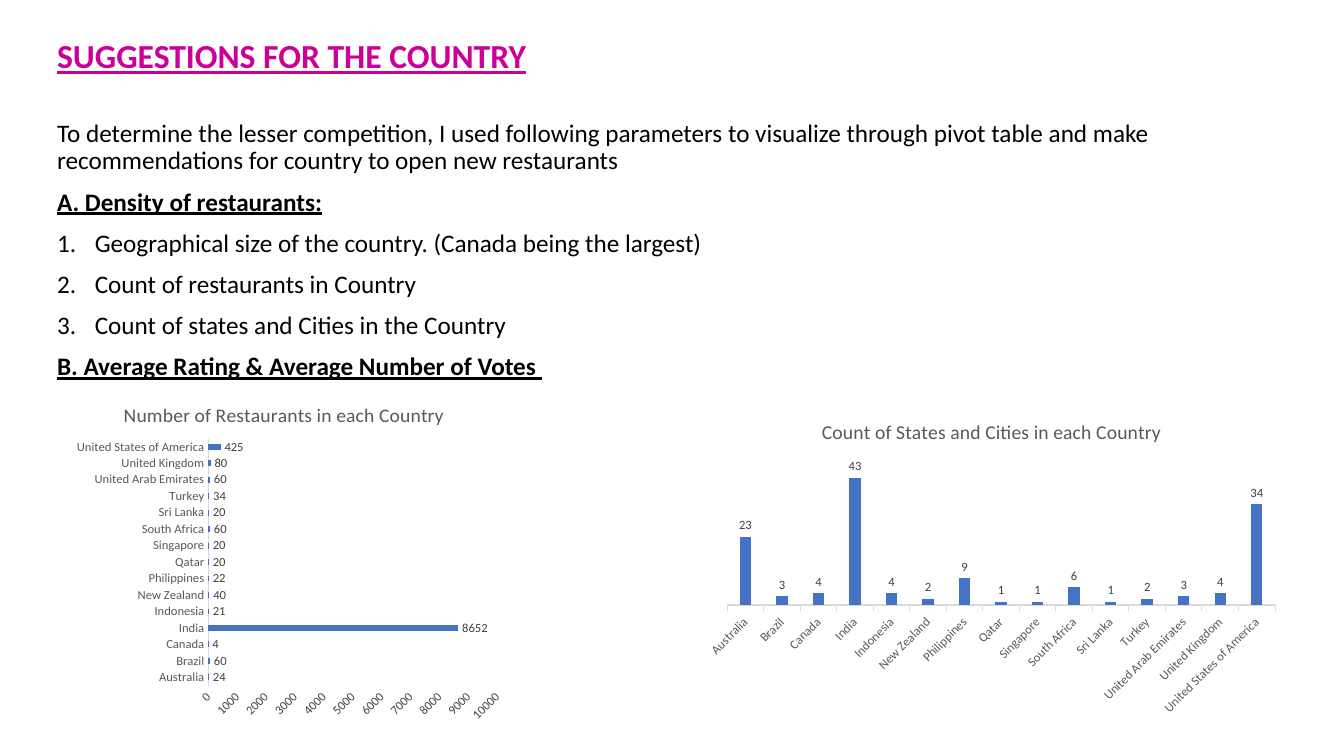
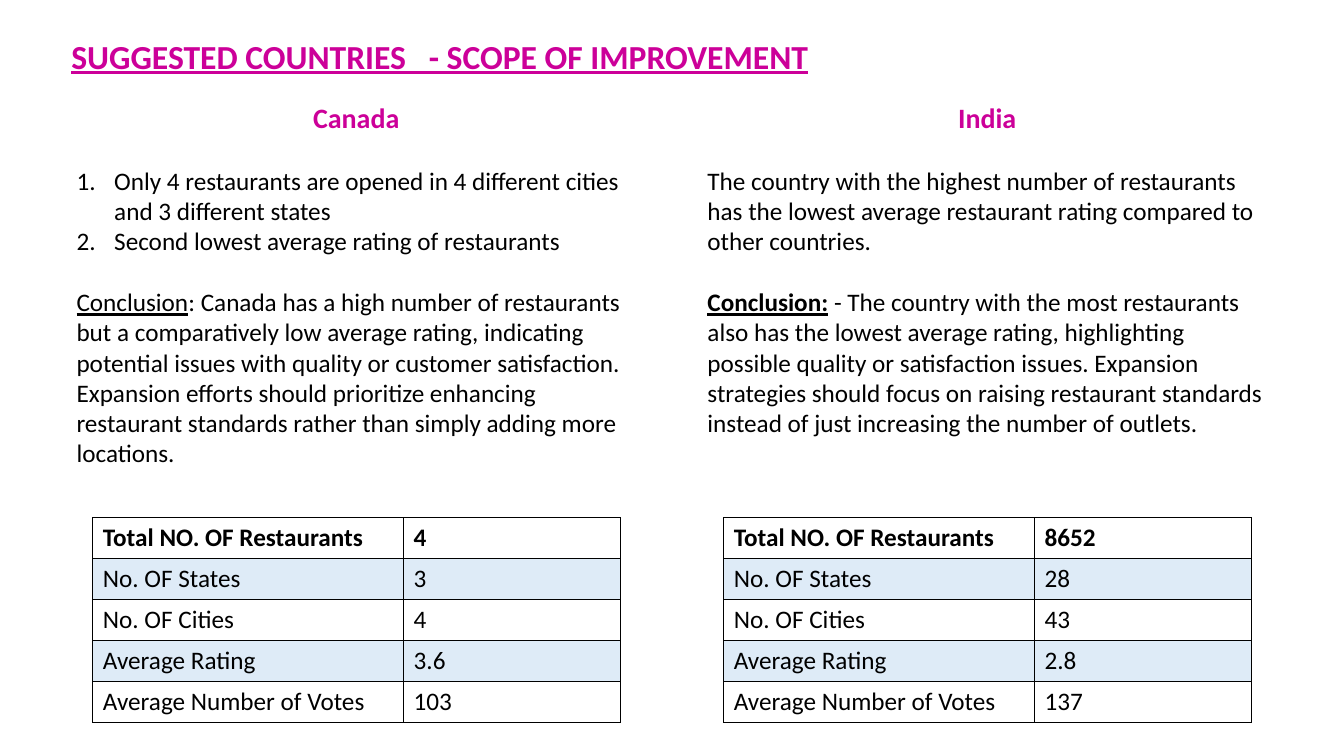
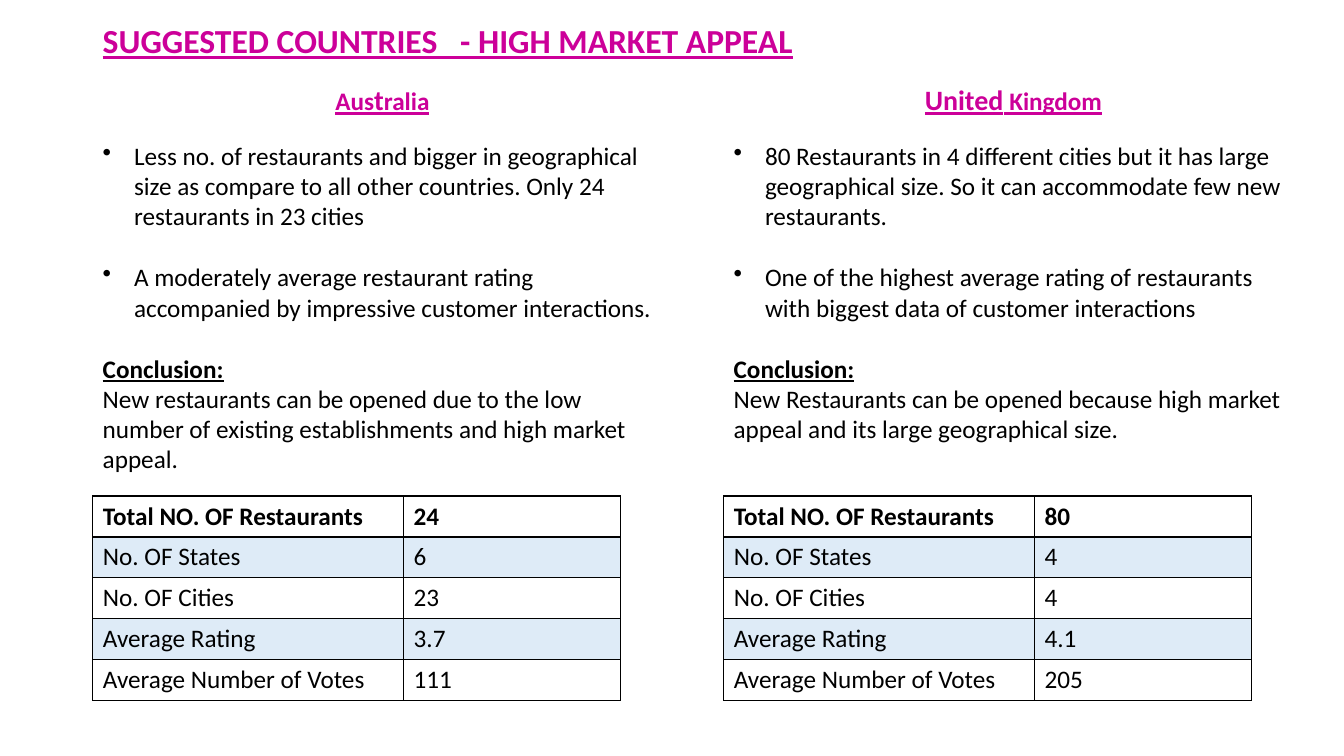
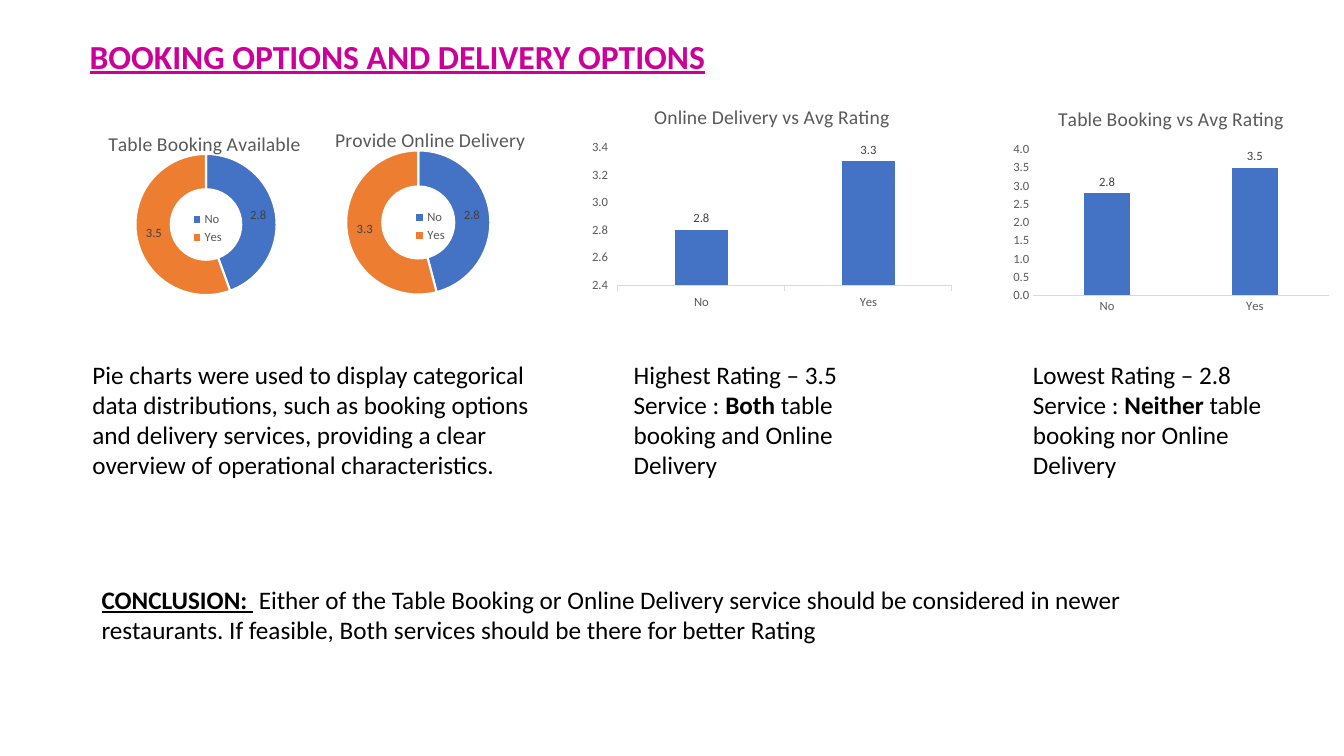
"""Build four slides of restaurant expansion suggestions by country."""
from dataclasses import dataclass
from typing import Any, Optional

from lxml import etree
from pptx import Presentation
from pptx import util as u
from pptx.chart.data import CategoryChartData
from pptx.dml.color import RGBColor
from pptx.enum import chart as charts, text
from pptx.oxml.ns import qn

FONT = "Calibri"
PINK, BLACK, GREY, DARK = "CC0099", "000000", "595959", "404040"
BLUE, ORANGE, PALE, RULE, WHITE = "4472C4", "ED7D31", "DEEBF7", "D9D9D9", "FFFFFF"
CENTER = text.PP_ALIGN.CENTER
NUMBER, BULLET = "buAutoNum", "buChar"
MARKERS = {
    NUMBER: ("type", "arabicPeriod", 0.95),
    BULLET: ("char", "•", 0.79),
}
TABLE_LEFTS = (2.34, 18.24)
ROW_LABELS = ("Total NO. OF Restaurants", "No. OF States", "No. OF Cities",
              "Average Rating", "Average Number of Votes")
COUNTRIES = ("Australia", "Brazil", "Canada", "India", "Indonesia", "New Zealand",
             "Philippines", "Qatar", "Singapore", "South Africa", "Sri Lanka", "Turkey",
             "United Arab Emirates", "United Kingdom", "United States of America")
ANSWERS = ("No", "Yes")


@dataclass(frozen=True)
class Area:
    left: float
    top: float
    width: float
    height: float


@dataclass(frozen=True)
class Span:
    words: str
    bold: Optional[bool] = None
    underline: Optional[bool] = None
    size: Optional[float] = None


@dataclass(frozen=True)
class Para:
    spans: tuple[Span, ...]
    size: float = 18
    color: str = BLACK
    bold: bool = False
    underline: bool = False
    align: Optional[Any] = None
    before: float = 0
    spacing: Optional[float] = None
    marker: str = ""


@dataclass(frozen=True)
class ChartSpec:
    title: str
    area: Area
    categories: tuple[str, ...]
    values: tuple[float, ...]
    number_format: str = "General"
    plot: Optional[Area] = None


@dataclass(frozen=True)
class Bars:
    kind: Any
    low: float
    high: float
    step: float
    gap: int = 219
    overlap: int = -27
    ticks: bool = False
    show_values: bool = True
    slant_categories: bool = False
    slant_values: bool = False


def rgb(color: str) -> RGBColor:
    return RGBColor.from_string(color)


def box_of(area: Area) -> tuple[u.Cm, ...]:
    return tuple(u.Cm(n) for n in (area.left, area.top, area.width, area.height))


def line(words: str, **style: Any) -> Para:
    return Para((Span(words),), **style)


def style_font(font: Any, size: float, color: str) -> None:
    font.name = FONT
    font.size = u.Pt(size)
    font.color.rgb = rgb(color)


def write_para(paragraph: Any, para: Para) -> None:
    if para.marker:
        attribute, value, hang = MARKERS[para.marker]
        properties = paragraph._p.get_or_add_pPr()
        properties.set("marL", str(u.Cm(hang)))
        properties.set("indent", str(-u.Cm(hang)))
        etree.SubElement(properties, qn(f"a:{para.marker}")).set(attribute, value)
    paragraph.alignment = para.align
    paragraph.line_spacing = para.spacing
    paragraph.space_before = u.Pt(para.before)
    style_font(paragraph.font, para.size, para.color)
    paragraph.font.bold = para.bold
    paragraph.font.underline = para.underline
    for span in para.spans:
        run = paragraph.add_run()
        run.text = span.words
        if span.bold is not None:
            run.font.bold = span.bold
        if span.underline is not None:
            run.font.underline = span.underline
        if span.size is not None:
            run.font.size = u.Pt(span.size)


def add_text(page: Any, area: Area, *paras: Para) -> Any:
    frame = page.shapes.add_textbox(*box_of(area)).text_frame
    frame.word_wrap = True
    for index, para in enumerate(paras):
        write_para(frame.add_paragraph() if index else frame.paragraphs[0], para)
    return frame


def add_page(deck: Any, title: str, area: Area) -> Any:
    page = deck.slides.add_slide(deck.slide_layouts[6])
    frame = add_text(page, area, line(title, size=24, color=PINK, bold=True,
                                      underline=True, spacing=0.9))
    frame.vertical_anchor = text.MSO_ANCHOR.MIDDLE
    return page


def add_border(cell: Any) -> None:
    properties = cell._tc.get_or_add_tcPr()
    for index, side in enumerate(("lnL", "lnR", "lnT", "lnB")):
        edge = etree.Element(qn(f"a:{side}"), w=str(u.Pt(1)))
        fill = etree.SubElement(edge, qn("a:solidFill"))
        etree.SubElement(fill, qn("a:srgbClr"), val=BLACK)
        properties.insert(index, edge)


def add_facts(page: Any, left: float, top: float, values: tuple[str, ...]) -> None:
    widths, row_height = (7.83, 5.46), 1.03
    area = Area(left, top, sum(widths), row_height * len(values))
    table = page.shapes.add_table(len(values), 2, *box_of(area)).table
    table.first_row = table.horz_banding = False
    for column, width in zip(table.columns, widths):
        column.width = u.Cm(width)
    for index, entries in enumerate(zip(ROW_LABELS, values)):
        table.rows[index].height = u.Cm(row_height)
        for cell, words in zip(table.rows[index].cells, entries):
            if index % 2:
                cell.fill.solid()
                cell.fill.fore_color.rgb = rgb(PALE)
            else:
                cell.fill.background()
            add_border(cell)
            write_para(cell.text_frame.paragraphs[0], line(words, bold=index == 0))


def set_layout(parent: Any, index: int, area: Area, inner: bool = False) -> None:
    for stale in parent.findall(qn("c:layout")):
        parent.remove(stale)
    layout = etree.Element(qn("c:layout"))
    manual = etree.SubElement(layout, qn("c:manualLayout"))
    settings = [("layoutTarget", "inner")] if inner else []
    settings += [("xMode", "edge"), ("yMode", "edge"), ("x", area.left), ("y", area.top),
                 ("w", area.width), ("h", area.height)]
    for name, value in settings:
        etree.SubElement(manual, qn(f"c:{name}"), val=str(value))
    parent.insert(index, layout)


def add_chart(page: Any, spec: ChartSpec, kind: Any) -> Any:
    data = CategoryChartData(number_format=spec.number_format)
    data.categories = spec.categories
    data.add_series("Series 1", spec.values)
    chart = page.shapes.add_chart(kind, *box_of(spec.area), data).chart
    style_font(chart.font, 10, BLACK)
    chart.has_legend = False
    chart.has_title = True
    title = chart.chart_title.text_frame.paragraphs[0]
    style_font(title.font, 14, GREY)
    title.font.bold = False
    title.add_run().text = spec.title
    plot = chart.plots[0]
    plot.vary_by_categories = False
    plot.has_data_labels = True
    labels = plot.data_labels
    labels.show_value = True
    labels.show_percentage = False
    labels.number_format = spec.number_format
    labels.number_format_is_linked = False
    style_font(labels.font, 9, DARK)
    if spec.plot:
        set_layout(chart._chartSpace.chart.plotArea, 0, spec.plot, inner=True)
    return chart


def style_axis(axis: Any, ticks: bool, slanted: bool) -> None:
    marks = charts.XL_TICK_MARK
    axis.has_major_gridlines = False
    axis.major_tick_mark = marks.OUTSIDE if ticks else marks.NONE
    axis.minor_tick_mark = marks.NONE
    style_font(axis.tick_labels.font, 9, GREY)
    if slanted:
        axis._element.find(qn("c:txPr")).find(qn("a:bodyPr")).set("rot", "-2700000")


def add_bars(page: Any, spec: ChartSpec, bars: Bars) -> None:
    chart = add_chart(page, spec, bars.kind)
    plot = chart.plots[0]
    plot.gap_width, plot.overlap = bars.gap, bars.overlap
    plot.data_labels.position = charts.XL_LABEL_POSITION.OUTSIDE_END
    fill = plot.series[0].format.fill
    fill.solid()
    fill.fore_color.rgb = rgb(BLUE)
    style_axis(chart.category_axis, bars.ticks, bars.slant_categories)
    chart.category_axis.format.line.color.rgb = rgb(RULE)
    chart.category_axis.format.line.width = u.Pt(0.75)
    scale = chart.value_axis
    style_axis(scale, bars.ticks, bars.slant_values)
    scale.format.line.fill.background()
    scale.minimum_scale, scale.maximum_scale = bars.low, bars.high
    scale.major_unit = bars.step
    scale.tick_labels.number_format = spec.number_format
    scale.tick_labels.number_format_is_linked = False
    scale.visible = bars.show_values


def add_ring(page: Any, spec: ChartSpec, legend: Area) -> None:
    chart = add_chart(page, spec, charts.XL_CHART_TYPE.DOUGHNUT)
    chart.plots[0].vary_by_categories = True
    chart.plots[0]._element.find(qn("c:holeSize")).set("val", "75")
    for index, color in enumerate((BLUE, ORANGE)):
        look = chart.plots[0].series[0].points[index].format
        look.fill.solid()
        look.fill.fore_color.rgb = rgb(color)
        look.line.color.rgb = rgb(WHITE)
        look.line.width = u.Pt(1.5)
    chart.has_legend = True
    chart.legend.position = charts.XL_LEGEND_POSITION.RIGHT
    chart.legend.include_in_layout = False
    style_font(chart.legend.font, 9, GREY)
    set_layout(chart.legend._element, 1, legend)


def build_country_suggestions(deck: Any) -> None:
    page = add_page(deck, "SUGGESTIONS FOR THE COUNTRY", Area(1.19, 0.61, 19.69, 1.7))
    flow = {"spacing": 0.9, "before": 10}
    heading = {**flow, "bold": True, "underline": True}
    item = {**flow, "marker": NUMBER}
    add_text(
        page, Area(1.19, 2.92, 31.24, 6.6),
        line("To determine the lesser competition, I used following parameters to visualize "
             "through pivot table and make recommendations for country to open new "
             "restaurants", **flow),
        line("A. Density of restaurants:", **heading),
        line("Geographical size of the country. (Canada being the largest)", **item),
        line("Count of restaurants in Country", **item),
        line("Count of states and Cities in the Country", **item),
        line("B. Average Rating & Average Number of Votes ", **heading))
    add_bars(
        page,
        ChartSpec("Number of Restaurants in each Country", Area(1.19, 9.73, 11.94, 8.46),
                  COUNTRIES,
                  (24, 60, 4, 8652, 21, 40, 22, 20, 20, 60, 20, 34, 60, 80, 425),
                  plot=Area(0.34, 0.16, 0.61, 0.75)),
        Bars(charts.XL_CHART_TYPE.BAR_CLUSTERED, 0, 10000, 1000, gap=182, overlap=0,
             slant_values=True))
    add_bars(
        page,
        ChartSpec("Count of States and Cities in each Country",
                  Area(17.55, 10.16, 14.88, 8.03), COUNTRIES,
                  (23, 3, 4, 43, 4, 2, 9, 1, 1, 6, 1, 2, 3, 4, 34)),
        Bars(charts.XL_CHART_TYPE.COLUMN_CLUSTERED, 0, 50, 10, ticks=True,
             show_values=False, slant_categories=True))


def build_improvement_scope(deck: Any) -> None:
    page = add_page(deck, "SUGGESTED COUNTRIES   - SCOPE OF IMPROVEMENT",
                    Area(1.55, 0.91, 29.49, 1.12))
    heading = {"size": 20, "color": PINK, "bold": True, "align": CENTER}
    add_text(
        page, Area(1.68, 2.41, 14.6, 9.5),
        line("Canada", **heading),
        line("Only 4 restaurants are opened in 4 different cities and 3 different states",
             marker=NUMBER, before=22),
        line("Second lowest average rating of restaurants", marker=NUMBER),
        Para((Span("Conclusion", underline=True),
              Span(": Canada has a high number of restaurants but a comparatively low average "
                   "rating, indicating potential issues with quality or customer "
                   "satisfaction. Expansion efforts should prioritize enhancing restaurant "
                   "standards rather than simply adding more locations.")), before=22))
    add_text(
        page, Area(17.58, 2.41, 14.6, 8.81),
        line("India", **heading),
        line("The country with the highest number of restaurants has the lowest average "
             "restaurant rating compared to other countries.", before=22),
        Para((Span("Conclusion:", bold=True, underline=True),
              Span(" - The country with the most restaurants also has the lowest average "
                   "rating, highlighting possible quality or satisfaction issues. Expansion "
                   "strategies should focus on raising restaurant standards instead of just "
                   "increasing the number of outlets.")), before=22))
    facts = (("4", "3", "4", "3.6", "103"), ("8652", "28", "43", "2.8", "137"))
    for left, values in zip(TABLE_LEFTS, facts):
        add_facts(page, left, 13.05, values)


def build_market_appeal(deck: Any) -> None:
    page = add_page(deck, "SUGGESTED COUNTRIES   - HIGH MARKET APPEAL",
                    Area(2.34, 0.64, 29.21, 0.89))
    columns = (
        ((Span("Aus"), Span("t", size=20), Span("ralia")),
         "Less no. of restaurants and bigger in geographical size as compare to all other "
         "countries. Only 24 restaurants in 23 cities",
         "A moderately average restaurant rating accompanied by impressive customer "
         "interactions.",
         "New restaurants can be opened due to the low number of existing establishments and "
         "high market appeal.",
         ("24", "6", "23", "3.7", "111")),
        ((Span("United", size=20), Span(" Kingdom")),
         "80 Restaurants in 4 different cities but it has large geographical size. So it can "
         "accommodate few new restaurants.",
         "One of the highest average rating of restaurants with biggest data of customer "
         "interactions",
         "New Restaurants can be opened because high market appeal and its large "
         "geographical size.",
         ("80", "4", "4", "4.1", "205")),
    )
    for left, (country, size_point, rating_point, conclusion, values) in zip(
            TABLE_LEFTS, columns):
        add_facts(page, left, 12.5, values)
        add_text(
            page, Area(left, 1.96, 14.6, 10),
            Para(country, color=PINK, bold=True, underline=True, align=CENTER),
            line(size_point, marker=BULLET, before=17),
            line(rating_point, marker=BULLET, before=22),
            line("Conclusion:", bold=True, underline=True, before=22),
            line(conclusion))


def build_service_options(deck: Any) -> None:
    page = add_page(deck, "BOOKING OPTIONS AND DELIVERY OPTIONS",
                    Area(2.01, 1.02, 29.21, 0.89))
    booking, delivery = (2.8, 3.5), (2.8, 3.3)
    add_ring(page, ChartSpec("Table Booking Available", Area(1.37, 2.97, 7.57, 4.98),
                             ANSWERS, booking, "0.0", Area(0.27, 0.15, 0.47, 0.78)),
             Area(0.44, 0.46, 0.14, 0.2))
    add_ring(page, ChartSpec("Provide Online Delivery", Area(7.06, 2.87, 7.57, 4.98),
                             ANSWERS, delivery, "0.0", Area(0.22, 0.18, 0.48, 0.74)),
             Area(0.43, 0.47, 0.14, 0.2))
    column = charts.XL_CHART_TYPE.COLUMN_CLUSTERED
    add_bars(page, ChartSpec("Online Delivery vs Avg Rating", Area(14.73, 2.26, 9.45, 5.66),
                             ANSWERS, delivery, "0.0"),
             Bars(column, 2.4, 3.4, 0.2, ticks=True))
    add_bars(page, ChartSpec("Table Booking vs Avg Rating", Area(25.37, 2.31, 8.28, 5.72),
                             ANSWERS, booking, "0.0"),
             Bars(column, 0, 4, 0.5))
    add_text(page, Area(2.08, 8.92, 11.66, 3.33),
             line("Pie charts were used to display categorical data distributions, such as "
                  "booking options and delivery services, providing a clear overview of "
                  "operational characteristics."))
    findings = (
        (15.72, "Highest Rating – 3.5", "Both", " table booking and Online Delivery"),
        (25.78, "Lowest Rating – 2.8", "Neither", " table booking nor Online Delivery"),
    )
    for left, rating, choice, services in findings:
        add_text(page, Area(left, 8.92, 7.44, 3.33), line(rating),
                 Para((Span("Service : "), Span(choice, bold=True), Span(services))))
    add_text(page, Area(2.31, 14.6, 29.21, 1.8),
             Para((Span("CONCLUSION: ", bold=True, underline=True),
                   Span(" Either of the Table Booking or Online Delivery service should be "
                        "considered in newer restaurants. If feasible, Both services should be "
                        "there for better Rating"))))


def main() -> None:
    deck = Presentation()
    deck.slide_width, deck.slide_height = u.Cm(33.87), u.Cm(19.05)
    build_country_suggestions(deck)
    build_improvement_scope(deck)
    build_market_appeal(deck)
    build_service_options(deck)
    deck.save("out.pptx")


if __name__ == "__main__":
    main()
